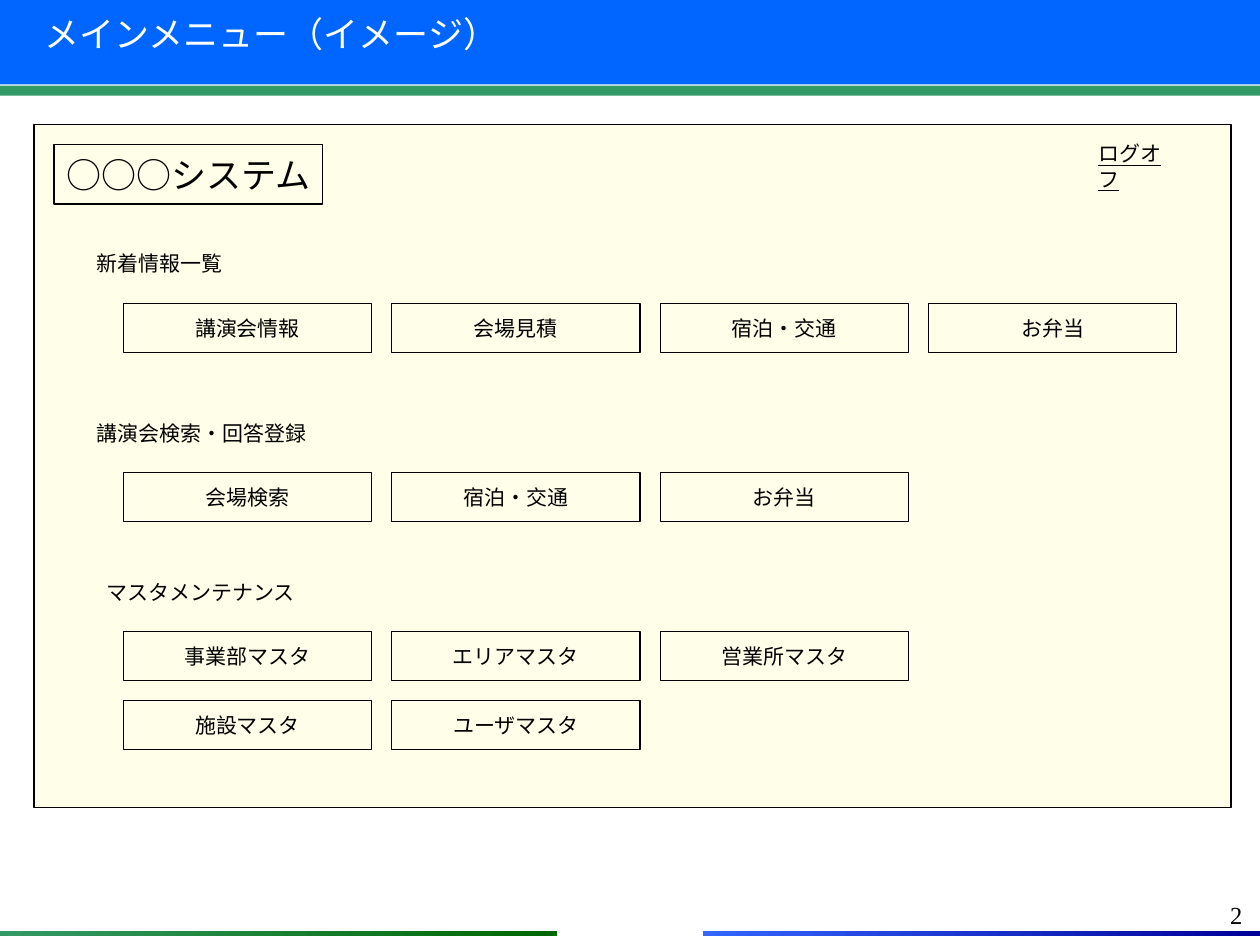
from dataclasses import dataclass

from pptx import Presentation, util as u
from pptx.dml.color import RGBColor
from pptx.enum import shapes, text

PX = 9144


@dataclass(frozen=True)
class Theme:
    blue: str = "0066FF"
    green: str = "339966"
    dark_green: str = "006600"
    navy: str = "000099"
    light_blue: str = "3366FF"
    panel: str = "FFFFE9"
    ink: str = "000000"
    white: str = "FFFFFF"
    heading_size: int = 20
    body_size: int = 12
    number_size: int = 14
    line_width: float = 0.75
    title_font: str = "DejaVu Sans"
    body_font: str = "Arial"
    number_font: str = "Times New Roman"


class Deck:
    def __init__(self, theme):
        self.theme = theme
        self.prs = Presentation()
        self.prs.slide_width = u.Emu(1000 * PX)
        self.prs.slide_height = u.Emu(750 * PX)
        self.s = self.prs.slides.add_slide(self.prs.slide_layouts[5])

    def set_words(self, sp, words, size, font, color, align):
        tf = sp.text_frame
        tf.text = words
        tf.auto_size = text.MSO_AUTO_SIZE.NONE
        p = tf.paragraphs[0]
        p.alignment = align
        r = p.runs[0]
        r.font.size = u.Pt(size)
        r.font.name = font
        r.font.color.rgb = RGBColor.from_string(color)
        return r

    def rect(self, x, y, w, h, fill=None, line=None):
        sp = self.s.shapes.add_shape(shapes.MSO_SHAPE.RECTANGLE, *(u.Emu(v * PX) for v in (x, y, w, h)))
        sp.shadow.inherit = False
        if fill:
            sp.fill.solid()
            sp.fill.fore_color.rgb = RGBColor.from_string(fill)
        else:
            sp.fill.background()
        if line:
            sp.line.color.rgb = RGBColor.from_string(line)
            sp.line.width = u.Pt(self.theme.line_width)
        else:
            sp.line.fill.background()
        return sp

    def gradient_bar(self, x, y, w, h, right, left):
        sp = self.rect(x, y, w, h)
        sp.fill.gradient()
        sp.fill.gradient_angle = 180
        for stop, position, color in zip(sp.fill.gradient_stops, (0, 1), (right, left)):
            stop.position = position
            stop.color.rgb = RGBColor.from_string(color)

    def title(self, x, y, w, h, words):
        sp = self.s.shapes.title
        sp.left, sp.top, sp.width, sp.height = (u.Emu(v * PX) for v in (x, y, w, h))
        sp.element.getparent().append(sp.element)
        sp.text_frame.vertical_anchor = text.MSO_ANCHOR.TOP
        t = self.theme
        self.set_words(sp, words, t.heading_size, t.title_font, t.white, text.PP_ALIGN.LEFT)

    def button(self, x, y, w, h, words, size):
        t = self.theme
        sp = self.rect(x, y, w, h, line=t.ink)
        sp.text_frame.word_wrap = False
        sp.text_frame.vertical_anchor = text.MSO_ANCHOR.MIDDLE
        self.set_words(sp, words, size, t.body_font, t.ink, text.PP_ALIGN.CENTER)

    def label(self, x, y, w, h, words, size, font, align=text.PP_ALIGN.LEFT):
        sp = self.s.shapes.add_textbox(*(u.Emu(v * PX) for v in (x, y, w, h)))
        sp.text_frame.word_wrap = True
        return self.set_words(sp, words, size, font, self.theme.ink, align)


def main():
    t = Theme()
    deck = Deck(t)

    deck.rect(0, 0, 1000, 67, t.blue)
    deck.gradient_bar(558, 739, 442, 4, t.navy, t.light_blue)
    deck.gradient_bar(0, 739, 442, 4, t.dark_green, t.green)
    deck.rect(-4, 68, 1004, 8, t.green)
    deck.rect(27, 99, 950, 542, t.panel, t.ink)
    deck.title(25, 5, 975, 79, "メインメニュー（イメージ）")

    deck.button(43, 115, 213, 47, "○○○システム", t.heading_size)
    logoff = deck.label(862, 107, 86, 30, "ログオフ", t.body_size, t.body_font)
    logoff.font.underline = True

    sections = [
        (67, 194, "新着情報一覧"),
        (67, 329, "講演会検索・回答登録"),
        (75, 455, "マスタメンテナンス"),
    ]
    for x, y, words in sections:
        deck.label(x, y, 205, 30, words, t.body_size, t.body_font)

    button_rows = [
        (241, ["講演会情報", "会場見積", "宿泊・交通", "お弁当"]),
        (375, ["会場検索", "宿泊・交通", "お弁当"]),
        (501, ["事業部マスタ", "エリアマスタ", "営業所マスタ"]),
        (556, ["施設マスタ", "ユーザマスタ"]),
    ]
    left, pitch = 98, 213
    for y, names in button_rows:
        for col, name in enumerate(names):
            deck.button(left + col * pitch, y, 197, 39, name, t.body_size)

    deck.label(763, 709, 233, 52, "2", t.number_size, t.number_font, text.PP_ALIGN.RIGHT)
    deck.prs.save("out.pptx")


if __name__ == "__main__":
    main()
